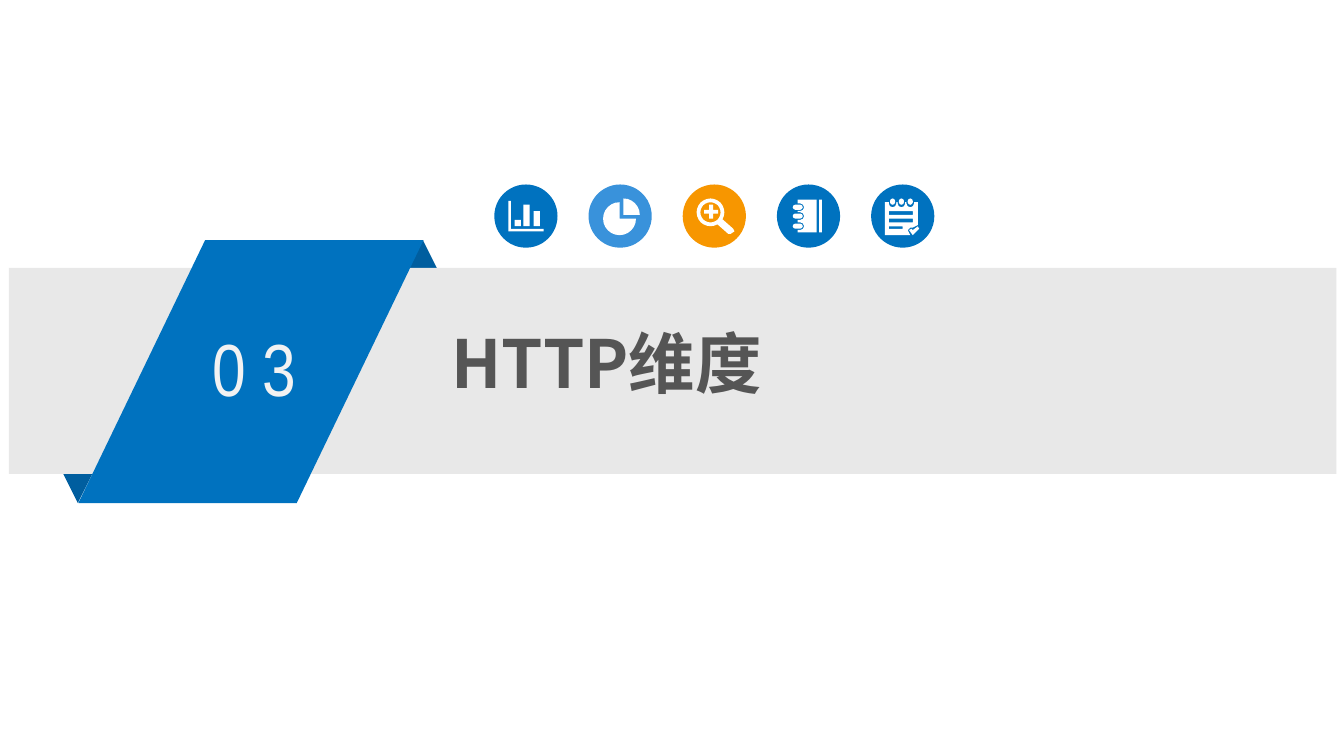
"""Build the section slide for chapter 03, HTTP维度."""
from dataclasses import dataclass
from math import cos, radians, sin

from lxml.etree import SubElement
from pptx import Presentation
from pptx.dml.color import RGBColor
from pptx.enum.shapes import MSO_SHAPE as Preset
from pptx.enum.text import MSO_ANCHOR as Anchor, PP_ALIGN as Align
from pptx.oxml.ns import qn
from pptx.util import Inches, Pt


@dataclass(frozen=True)
class Theme:
    blue: str = "0072BF"
    fold: str = "005E9F"
    sky: str = "3992DB"
    orange: str = "F79600"
    band: str = "E8E8E8"
    white: str = "FFFFFF"
    number: str = "F2F2F2"
    title: str = "555555"
    number_font: str = "Arial Narrow"
    title_font: str = "Noto Sans CJK SC"
    number_size: float = 42
    title_size: float = 37.8


def box(left, top, right, bottom):
    return [(left, top), (right, top), (right, bottom), (left, bottom)]


def arc(x, y, radius, start, end):
    steps = max(4, round(abs(end - start) / 15)) if radius > 0.05 else 4
    angles = [radians(start + (end - start) * i / steps) for i in range(steps + 1)]
    return [(x + radius * cos(a), y + radius * sin(a)) for a in angles]


theme = Theme()
prs = Presentation()
prs.slide_width, prs.slide_height = Inches(10.63), Inches(5.91)
slide = prs.slides.add_slide(prs.slide_layouts[5])

ribbon = [
    (Preset.ISOSCELES_TRIANGLE, 2.87, 1.9, 0.95, 0.95, theme.fold),
    (Preset.ISOSCELES_TRIANGLE, 0.14, 3.03, 0.95, 0.95, theme.fold),
    (Preset.RECTANGLE, 0.07, 2.12, 10.5, 1.63, theme.band),
    (Preset.PARALLELOGRAM, 0.62, 1.9, 2.73, 2.08, theme.blue),
]
medallions = [
    (Preset.OVAL, 3.91 + index * 0.745, 1.46, 0.5, 0.5, color)
    for index, color in enumerate(
        [theme.blue, theme.sky, theme.orange, theme.blue, theme.blue])
]
painted = []
for preset, left, top, width, height, color in ribbon + medallions:
    part = slide.shapes.add_shape(
        preset, Inches(left), Inches(top), Inches(width), Inches(height))
    painted.append((part, color))
painted[1][0].rotation = 180
painted[3][0].adjustments[0] = 0.482

bar_chart = [
    [(4.02, 1.59), (4.04, 1.59), (4.04, 1.81), (4.3, 1.81), (4.3, 1.83), (4.02, 1.83)],
    box(4.07, 1.74, 4.12, 1.79),
    box(4.14, 1.62, 4.19, 1.79),
    box(4.22, 1.67, 4.27, 1.79),
]
pie_chart = [
    arc(4.93, 1.7, 0.13, -90, 0) + [(4.93, 1.7)],
    arc(4.9, 1.73, 0.13, 0, 270) + [(4.9, 1.73)],
]
magnifier = [
    arc(5.62, 1.68, 0.11, 60, 390)
    + [(5.8, 1.81), (5.81, 1.83), (5.78, 1.85), (5.76, 1.85)],
    arc(5.62, 1.68, 0.08, 360, 0),
    [(5.61, 1.62), (5.64, 1.62), (5.64, 1.66), (5.68, 1.66), (5.68, 1.69), (5.64, 1.69),
     (5.64, 1.73), (5.61, 1.73), (5.61, 1.69), (5.57, 1.69), (5.57, 1.66), (5.61, 1.66)],
]

book = [(6.31, 1.58), (6.46, 1.58), (6.46, 1.84), (6.31, 1.84)]
notebook = [book, box(6.48, 1.58, 6.5, 1.84)]
for y in [1.79, 1.71, 1.64]:
    book += [(6.31, y + 0.03)] + arc(6.33, y, 0.03, 90, -90) + [(6.31, y - 0.03)]
    notebook.append(arc(6.33, y, 0.02, -90, 90) + arc(6.29, y, 0.02, 90, 270))

page = [(7, 1.6)]
notepad = [
    page,
    box(7.03, 1.67, 7.22, 1.7),
    box(7.03, 1.73, 7.22, 1.76),
    box(7.03, 1.79, 7.14, 1.81),
    [(7.19, 1.82), (7.21, 1.81), (7.22, 1.82), (7.26, 1.79), (7.27, 1.81), (7.22, 1.86)],
]
for x in [7.06, 7.13, 7.2]:
    page += [(x - 0.03, 1.6)] + arc(x, 1.61, 0.03, 180, 0) + [(x + 0.03, 1.6)]
    notepad.append(arc(x, 1.59, 0.02, 180, 360) + arc(x, 1.6, 0.02, 0, 180))
page += [(7.26, 1.6), (7.26, 1.78), (7.22, 1.8), (7.2, 1.8), (7.18, 1.82),
         (7.2, 1.86), (7, 1.86)]

for icon in [bar_chart, pie_chart, magnifier, notebook, notepad]:
    outlines = [[(x * 1000, y * 1000) for x, y in outline] for outline in icon]
    pen = slide.shapes.build_freeform(*outlines[0][0], scale=Inches(1) / 1000)
    for outline in outlines:
        pen.move_to(*outline[0])
        pen.add_line_segments(outline[1:], close=True)
    painted.append((pen.convert_to_shape(), theme.white))

for part, color in painted:
    part.shadow.inherit = False
    part.fill.solid()
    part.fill.fore_color.rgb = RGBColor.from_string(color)
    part.line.fill.background()

number = slide.shapes.add_textbox(Inches(1.6), Inches(2.51), Inches(0.97), Inches(0.79))
heading = slide.shapes.title
heading.left, heading.top = Inches(3.49), Inches(2.58)
heading.width, heading.height = Inches(5.8), Inches(0.72)
slide.shapes._spTree.append(heading._element)

for label, text, font, size, color, bold, spacing in [
    (number, "0 3", theme.number_font, theme.number_size, theme.number, False, 1.0),
    (heading, "HTTP维度", theme.title_font, theme.title_size, theme.title, True, 0.9),
]:
    frame = label.text_frame
    frame.word_wrap = True
    frame.vertical_anchor = Anchor.TOP
    frame.margin_left = frame.margin_right = Inches(0.08)
    frame.margin_top = frame.margin_bottom = Inches(0.04)
    line = frame.paragraphs[0]
    line.text = text
    line.alignment = Align.LEFT
    line.line_spacing = spacing
    line.font.name, line.font.size, line.font.bold = font, Pt(size), bold
    line.font.color.rgb = RGBColor.from_string(color)
    SubElement(line.font._rPr, qn("a:ea"), typeface=font)

prs.save("out.pptx")
